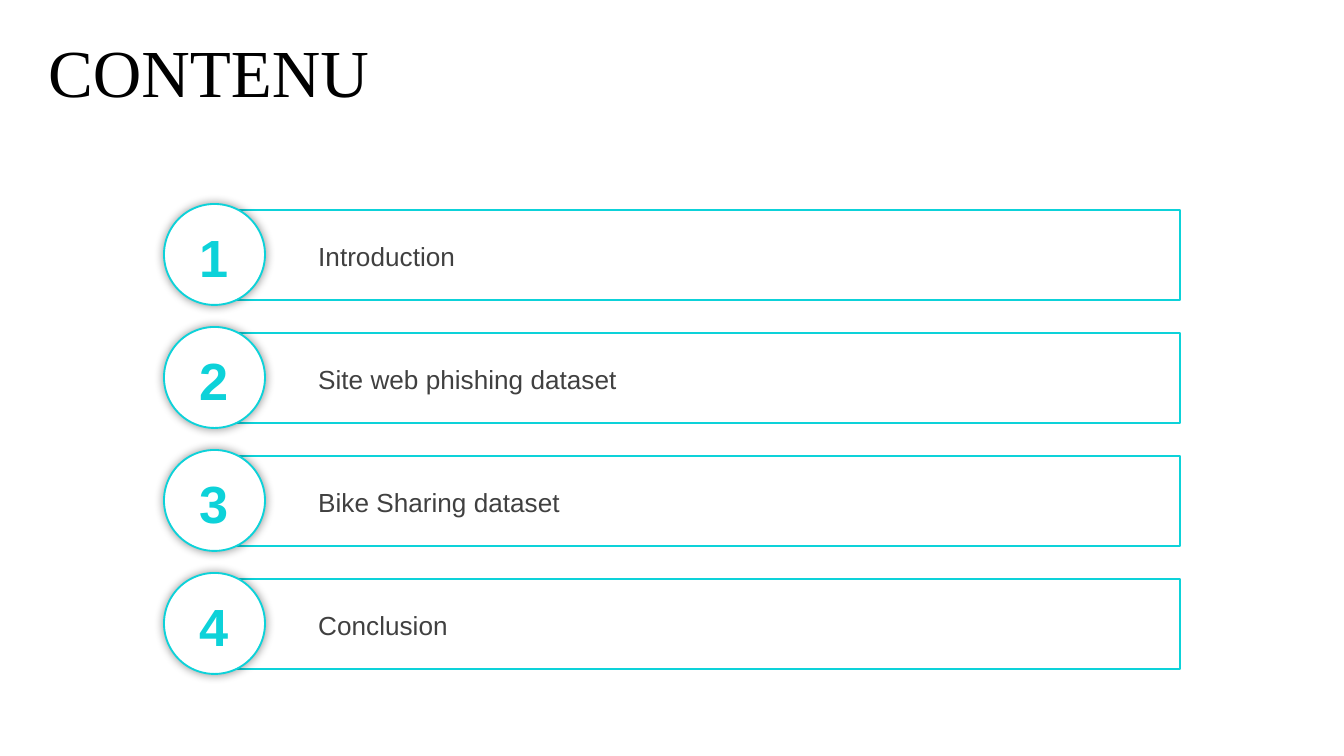
from lxml import etree
from pptx import Presentation
from pptx import util as u
from pptx.dml.color import RGBColor
from pptx.enum import shapes, text
from pptx.oxml import ns

EMU_PER_PX = 914400 / 134.4

TURQUOISE = RGBColor(0x0D, 0xD2, 0xD9)
GREY = RGBColor(0x40, 0x40, 0x40)
BLACK = RGBColor(0, 0, 0)
WHITE = RGBColor(0xFF, 0xFF, 0xFF)

TOPICS = ["Introduction", "Site web phishing dataset",
          "Bike Sharing dataset", "Conclusion"]
FIRST_ROW_TOP = 210
ROW_PITCH = 123


def px(length):
    return u.Emu(round(length * EMU_PER_PX))


def add_outlined_shape(slide, kind, left, top, width, height):
    shape = slide.shapes.add_shape(kind, px(left), px(top), px(width), px(height))
    shape.shadow.inherit = False
    shape.fill.background()
    shape.line.color.rgb = TURQUOISE
    shape.line.width = u.Pt(1)
    return shape


def add_soft_shadow(shape):
    effects = shape._element.spPr.find(ns.qn("a:effectLst"))
    shadow = etree.SubElement(effects, ns.qn("a:outerShdw"),
                              blurRad=str(u.Pt(5)), dist="0", dir="0",
                              algn="ctr", rotWithShape="0")
    color = etree.SubElement(shadow, ns.qn("a:srgbClr"), val=str(BLACK))
    etree.SubElement(color, ns.qn("a:alpha"), val="40000")


def add_label(slide, content, left, top, width, height, size, color,
              font="Arial", bold=False, align=text.PP_ALIGN.LEFT,
              anchor=text.MSO_ANCHOR.MIDDLE):
    box = slide.shapes.add_textbox(px(left), px(top), px(width), px(height))
    frame = box.text_frame
    frame.word_wrap = True
    frame.auto_size = text.MSO_AUTO_SIZE.SHAPE_TO_FIT_TEXT
    frame.vertical_anchor = anchor
    frame.text = content
    paragraph = frame.paragraphs[0]
    paragraph.alignment = align
    run_font = paragraph.runs[0].font
    run_font.name = font
    run_font.size = u.Pt(size)
    run_font.bold = bold
    run_font.color.rgb = color


def add_topic(slide, number, topic, top):
    # Bar with the topic
    add_outlined_shape(slide, shapes.MSO_SHAPE.RECTANGLE, 214, top, 966, 90)
    add_label(slide, topic, 305, top + 24, 844, 45, 14, GREY)

    # Numbered circle over the left end of the bar
    circle = add_outlined_shape(slide, shapes.MSO_SHAPE.OVAL, 164, top - 6, 101, 101)
    circle.fill.solid()
    circle.fill.fore_color.rgb = WHITE
    add_soft_shadow(circle)
    add_label(slide, str(number), 182, top + 8, 63, 77, 28, TURQUOISE,
              bold=True, align=text.PP_ALIGN.CENTER)


def main():
    presentation = Presentation()
    presentation.slide_width = px(1344)
    presentation.slide_height = px(756)
    slide = presentation.slides.add_slide(presentation.slide_layouts[6])

    # Table of contents
    for index, topic in enumerate(TOPICS):
        add_topic(slide, index + 1, topic, FIRST_ROW_TOP + index * ROW_PITCH)

    # Title
    add_label(slide, "CONTENU", 35, 24, 661, 95, 36, BLACK,
              font="Times New Roman", anchor=text.MSO_ANCHOR.TOP)

    presentation.save("out.pptx")


if __name__ == "__main__":
    main()
